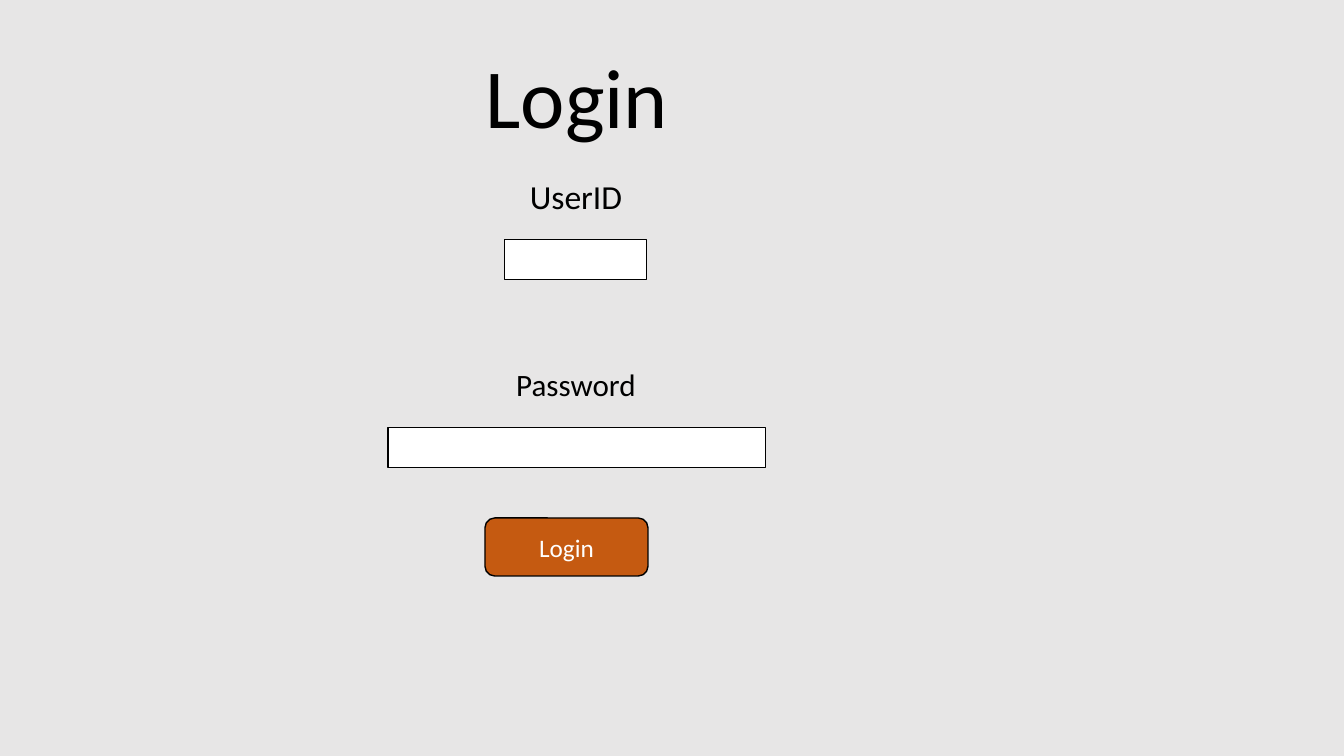
"""Build a login form slide."""
import pptx
import pptx.dml.color
import pptx.enum.shapes
import pptx.enum.text
import pptx.util

SCALE = 914400 / 100.8
SHAPE = pptx.enum.shapes.MSO_SHAPE
ANCHOR = pptx.enum.text.MSO_ANCHOR


def px(size):
    return pptx.util.Emu(round(size * SCALE))


def color(code):
    return pptx.dml.color.RGBColor.from_string(code)


class Form:
    font = "Calibri"
    ink = "000000"
    paper = "FFFFFF"
    accent = "C55A11"
    back = "E7E6E6"

    def __init__(self, deck):
        self.slide = deck.slides.add_slide(deck.slide_layouts[5])
        fill = self.slide.background.fill
        fill.solid()
        fill.fore_color.rgb = color(self.back)

    def letter(self, shape, text, size, ink, anchor, line=None, before=0):
        frame = shape.text_frame
        frame.text = text
        frame.word_wrap = True
        frame.auto_size = pptx.enum.text.MSO_AUTO_SIZE.NONE
        frame.vertical_anchor = anchor
        para = frame.paragraphs[0]
        para.alignment = pptx.enum.text.PP_ALIGN.CENTER
        para.line_spacing = line
        para.space_before = pptx.util.Pt(before)
        font = para.runs[0].font
        font.name = self.font
        font.size = pptx.util.Pt(size)
        font.color.rgb = color(ink)

    def title(self, text, left, top, width, height):
        shape = self.slide.shapes.title
        shape.left, shape.top = px(left), px(top)
        shape.width, shape.height = px(width), px(height)
        self.letter(shape, text, 60, self.ink, ANCHOR.BOTTOM, 0.9)

    def label(self, text, size, left, top, width, height):
        shape = self.slide.shapes.add_textbox(
            px(left), px(top), px(width), px(height))
        self.letter(shape, text, size, self.ink, ANCHOR.TOP, 0.9, 10)

    def box(self, kind, fill, line, left, top, width, height):
        shape = self.slide.shapes.add_shape(
            kind, px(left), px(top), px(width), px(height))
        shape.shadow.inherit = False
        shape.fill.solid()
        shape.fill.fore_color.rgb = color(fill)
        shape.line.color.rgb = color(self.ink)
        shape.line.width = pptx.util.Pt(line)
        return shape

    def field(self, left, top, width, height):
        self.box(SHAPE.RECTANGLE, self.paper, 0.75, left, top, width, height)

    def button(self, text, left, top, width, height):
        shape = self.box(SHAPE.ROUNDED_RECTANGLE, self.accent, 1,
                         left, top, width, height)
        self.letter(shape, text, 18, self.paper, ANCHOR.MIDDLE)


def main():
    deck = pptx.Presentation()
    deck.slide_width, deck.slide_height = px(1344), px(756)
    form = Form(deck)
    form.title("Login", 353, 37, 448, 115)
    form.label("UserID", 24, 505, 176, 142, 63)
    form.label("Password", 22.2, 505, 365, 142, 63)
    form.field(505, 240, 142, 40)
    form.field(388, 428, 378, 40)
    form.button("Login", 485, 518, 163, 58)
    deck.save("out.pptx")


if __name__ == "__main__":
    main()
